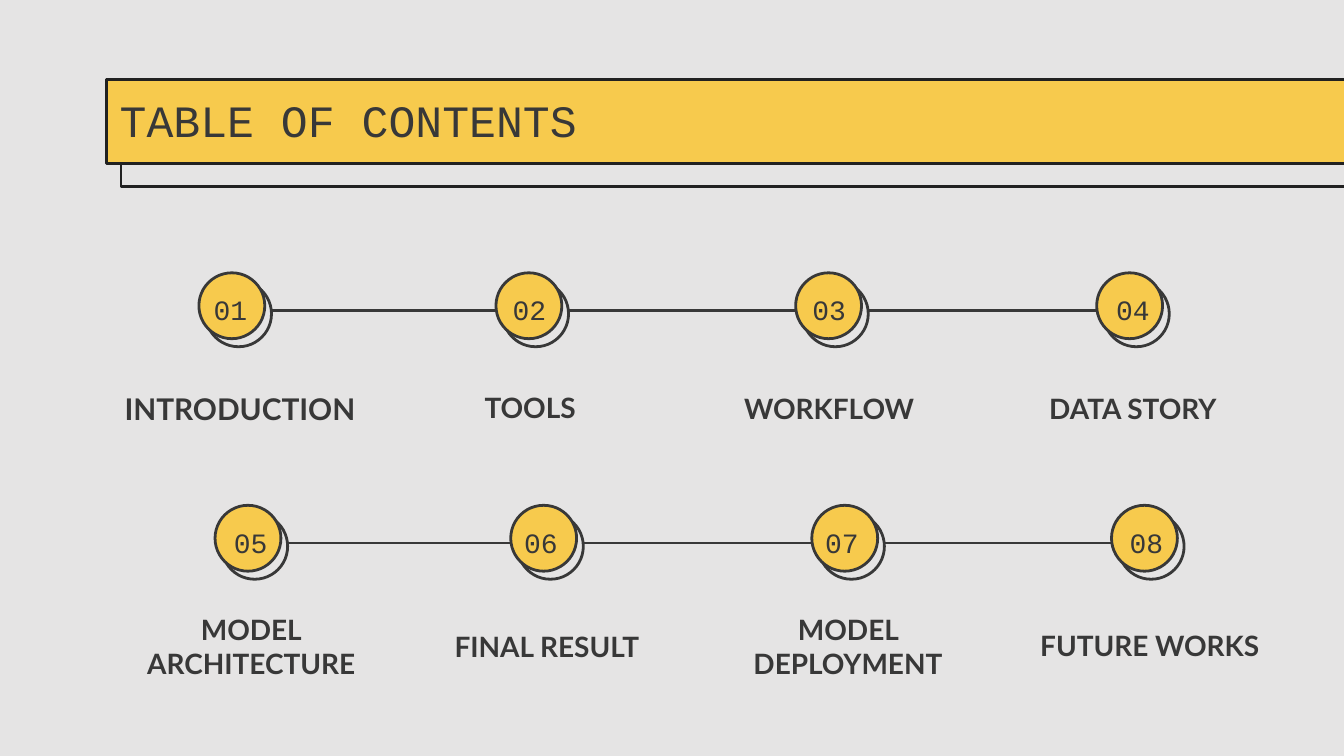
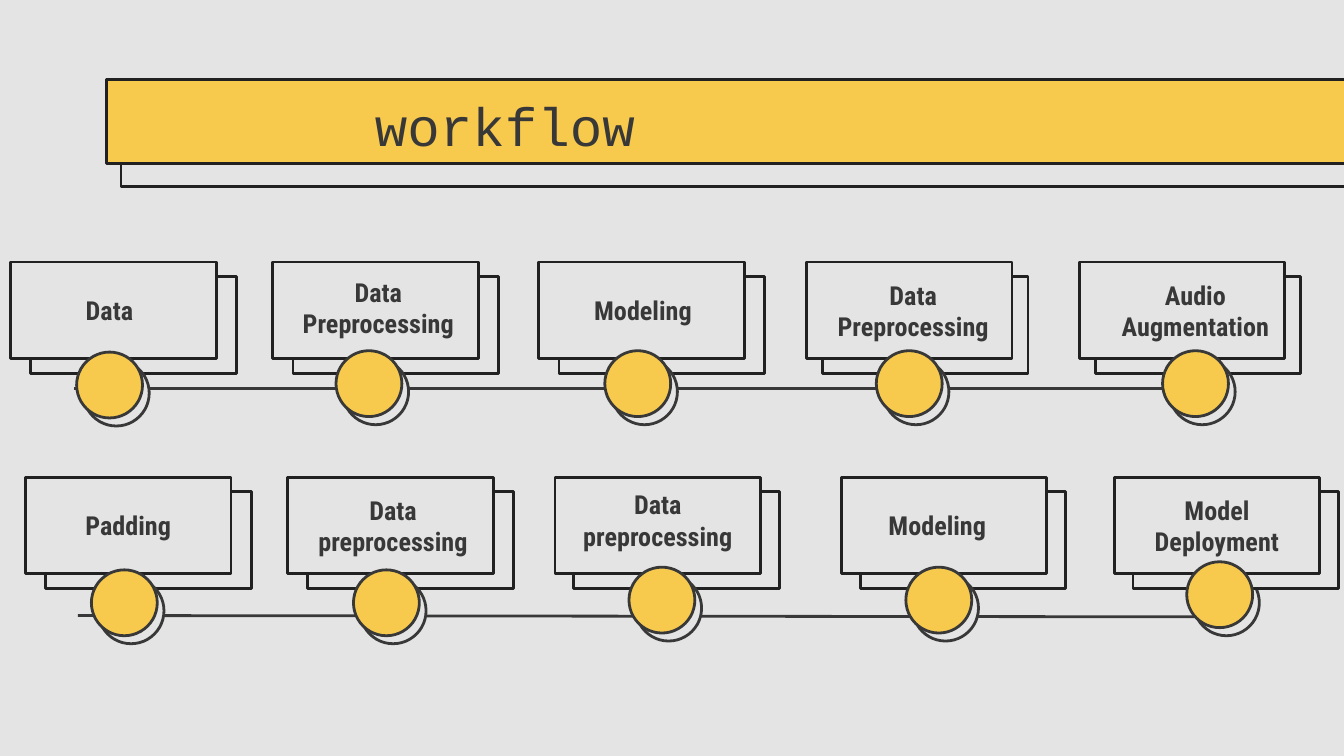
from lxml import etree
from pptx import Presentation
from pptx.dml.color import RGBColor
from pptx.enum import shapes as kinds, text as txt
from pptx.oxml.ns import qn
from pptx.util import Inches, Pt

# Shared look
GREY, GOLD, INK, EDGE = "E5E4E4", "F7CA4D", "383838", "212121"
MONO, LABEL, CARD = "Courier New", "Lato", "Roboto Condensed"
RECT, OVAL = kinds.MSO_SHAPE.RECTANGLE, kinds.MSO_SHAPE.OVAL
TOP, MID = txt.MSO_ANCHOR.TOP, txt.MSO_ANCHOR.MIDDLE
LEFT, CENTER = txt.PP_ALIGN.LEFT, txt.PP_ALIGN.CENTER
DOT = 0.49
CARD_W, CARD_H = 1.53, 0.72

# Contents: dot row top, line ends, then number, dot x, number box (x, width),
# label, label box (x, y, width, height), label size
TOPICS = [
    (2.03, (1.74, 8.42), [
        ("01", 1.48, (1.4, 0.63), "INTRODUCTION", (0.79, 2.64, 1.99, 0.8), 16),
        ("02", 3.69, (2.3, 3.28), "TOOLS", (3.26, 2.77, 1.37, 0.52), 15),
        ("03", 5.92, (4.53, 3.28), "WORKFLOW", (5.42, 2.64, 1.5, 0.8), 15),
        ("04", 8.16, (6.79, 3.28), "DATA STORY", (7.68, 2.64, 1.5, 0.8), 15),
    ]),
    (3.76, (1.86, 8.54), [
        ("05", 1.6, (1.47, 0.79), "MODEL\nARCHITECTURE", (0.95, 4.55, 1.84, 0.52), 15),
        ("06", 3.8, (3.51, 1.03), "FINAL RESULT", (3.2, 4.41, 1.74, 0.8), 15),
        ("07", 6.04, (5.68, 1.17), "MODEL DEPLOYMENT", (5.48, 4.41, 1.66, 0.8), 15),
        ("08", 8.27, (7.98, 1.1), "FUTURE WORKS", (7.38, 4.58, 2.35, 0.45), 15),
    ]),
]

# Workflow: card row top, line ends, then text, card x, back card x,
# label (x, y) or None for text inside the card, dot (x, y)
STEPS = [
    (1.95, (0.55, 2.89, 8.97, 2.89), [
        ("Data", 0.08, 0.23, (0.05, 2.04), (0.57, 2.62)),
        ("Data Preprocessing", 2.03, 2.18, (2.05, 2.02), (2.5, 2.61)),
        ("Modeling", 4.01, 4.16, (4.02, 2.04), (4.5, 2.61)),
        ("Data Preprocessing", 6, 6.12, (6.03, 2.04), (6.52, 2.61)),
        ("Audio Augmentation", 8.03, 8.15, (8.13, 2.04), (8.65, 2.61)),
    ]),
    (3.55, (0.58, 4.58, 8.99, 4.59), [
        ("Padding", 0.19, 0.34, (0.19, 3.64), (0.68, 4.24)),
        ("Data preprocessing", 2.14, 2.29, (2.16, 3.64), (2.63, 4.24)),
        ("Data preprocessing", 4.13, 4.27, (4.13, 3.6), (4.68, 4.22)),
        ("Modeling", 6.26, 6.4, (6.21, 3.64), (6.74, 4.22)),
        ("Model Deployment", 8.29, 8.43, None, (8.83, 4.18)),
    ]),
]


def color(code):
    return RGBColor.from_string(code)


def write(shape, words, font=LABEL, size=15, bold=False, align=CENTER, anchor=MID):
    frame = shape.text_frame
    frame.word_wrap = True
    frame.auto_size = txt.MSO_AUTO_SIZE.NONE
    frame.vertical_anchor = anchor
    frame.margin_left = frame.margin_right = Inches(0.1)
    frame.margin_top = frame.margin_bottom = Inches(0.1)
    frame.text = words
    for para in frame.paragraphs:
        para.alignment = align
        para.font.name, para.font.size, para.font.bold = font, Pt(size), bold
        para.font.color.rgb = color(INK)


def label(slide, words, x, y, w, h, **style):
    write(slide.shapes.add_textbox(*map(Inches, (x, y, w, h))), words, **style)


def draw(host, kind, x, y, w, h, fill=GREY, line=EDGE):
    shape = host.add_shape(kind, *map(Inches, (x, y, w, h)))
    shape.shadow.inherit = False
    shape.fill.solid()
    shape.fill.fore_color.rgb = color(fill)
    shape.line.color.rgb = color(line)
    shape.line.width = Pt(1.5)
    return shape


def ring(host, x, y):
    draw(host, OVAL, x + 0.05, y + 0.06, DOT, DOT, line=INK)


def disc(host, x, y):
    draw(host, OVAL, x, y, DOT, DOT, fill=GOLD, line=INK)


def dot(slide, x, y):
    pair = slide.shapes.add_group_shape().shapes
    ring(pair, x, y)
    disc(pair, x, y)


def link(slide, *ends):
    line = slide.shapes.add_connector(kinds.MSO_CONNECTOR.STRAIGHT, *map(Inches, ends))
    line.line.color.rgb = color(INK)
    line.line.width = Pt(1.5)
    etree.SubElement(line._element.spPr, qn("a:effectLst"))


def start(deck, words, x, size):
    """Add a slide with its background, title band and title."""
    slide = deck.slides.add_slide(deck.slide_layouts[5])
    slide.background.fill.solid()
    slide.background.fill.fore_color.rgb = color(GREY)
    draw(slide.shapes, RECT, 0.9, 0.76, 9.49, 0.63)
    draw(slide.shapes, RECT, 0.79, 0.59, 9.49, 0.63, fill=GOLD)
    title = slide.shapes.title
    title.left, title.top, title.width, title.height = map(Inches, (x, 0.59, 8.43, 0.52))
    write(title, words, font=MONO, size=size, align=LEFT, anchor=TOP)
    slide.shapes._spTree.append(title._element)  # bring above the band
    return slide


def contents(deck):
    slide = start(deck, "TABLE OF CONTENTS", 0.79, 24)
    for top, (x1, x2), topics in TOPICS:
        link(slide, x1, top + 0.28, x2, top + 0.28)
        for num, x, (left, wide), words, box, size in topics:
            dot(slide, x, top)
            label(slide, num, left, top + 0.05, wide, 0.45, font=MONO, anchor=TOP)
            label(slide, words, *box, size=size, bold=True)


def workflow(deck):
    slide = start(deck, "workflow", 2.69, 29)
    style = dict(font=CARD, size=14, bold=True)
    for top, ends, steps in STEPS:
        link(slide, *ends)
        for words, x, back, spot, place in steps:
            if not spot:  # ring tucked behind the card
                ring(slide.shapes, *place)
            draw(slide.shapes, RECT, back, top + 0.11, CARD_W, CARD_H)
            card = draw(slide.shapes, RECT, x, top, CARD_W, CARD_H)
            if spot:
                dot(slide, *place)
                label(slide, words, *spot, CARD_W, 0.54, **style)
            else:
                write(card, words, **style)
                disc(slide.shapes, *place)


def main():
    deck = Presentation()
    deck.slide_width = Inches(10)
    deck.slide_height = deck.slide_width * 9 // 16  # widescreen
    contents(deck)
    workflow(deck)
    deck.save("out.pptx")


if __name__ == "__main__":
    main()
